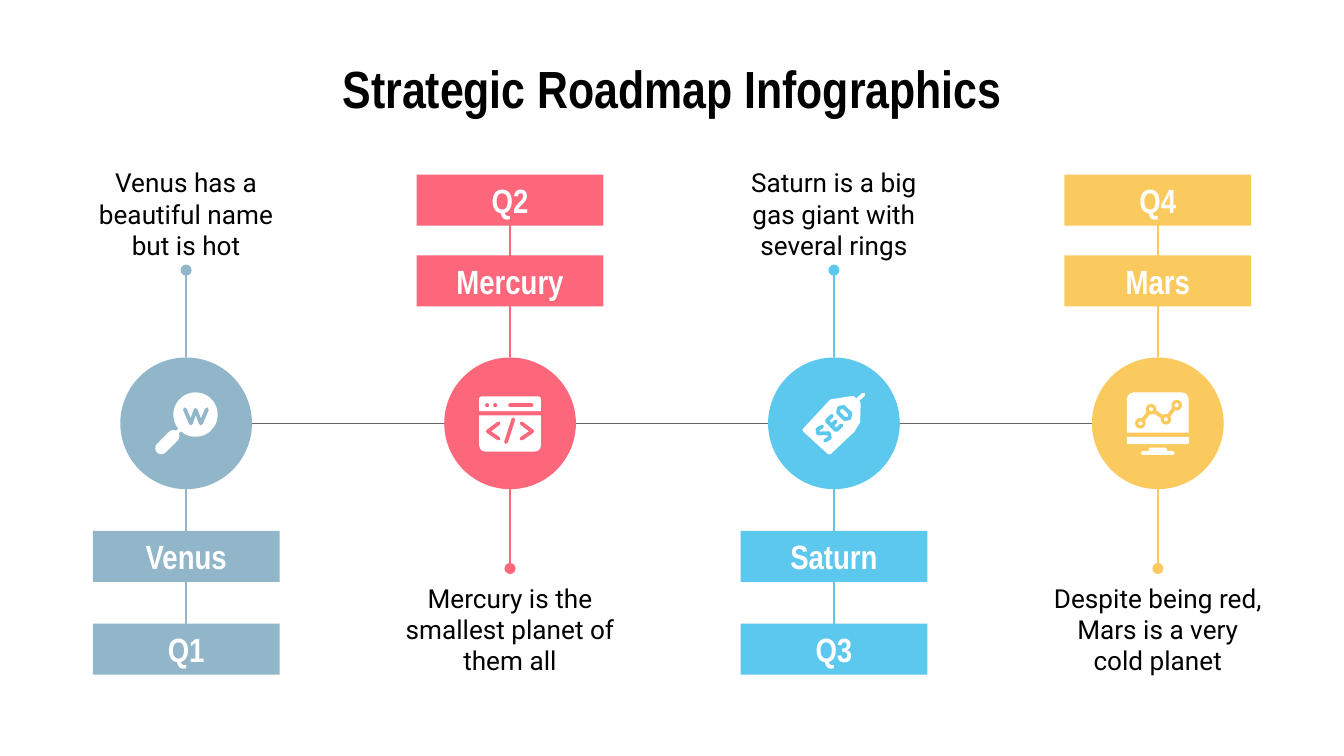
from math import sqrt

from lxml import etree
from pptx import Presentation
from pptx.dml.color import RGBColor
from pptx.enum.shapes import MSO_CONNECTOR, MSO_SHAPE
from pptx.enum.text import MSO_ANCHOR, MSO_AUTO_SIZE, PP_ALIGN
from pptx.oxml.ns import qn
from pptx.util import Inches, Pt

STRAIGHT = MSO_CONNECTOR.STRAIGHT
OVAL, RECT = MSO_SHAPE.OVAL, MSO_SHAPE.RECTANGLE
ROUND_TOP = MSO_SHAPE.ROUND_2_SAME_RECTANGLE
TOP, MIDDLE = MSO_ANCHOR.TOP, MSO_ANCHOR.MIDDLE
CENTER = PP_ALIGN.CENTER
NO_FIT = MSO_AUTO_SIZE.NONE
WHITE, BLACK, GRAY = "FFFFFF", "000000", "666666"
HEADING, BODY = "Arial Narrow", "Roboto"

# Grid of 100 columns by 56.25 rows, each a tenth of an inch
COLUMNS, ROWS, UNIT = 100, 56.25, 0.1
MARGIN, NOTE_WIDTH, NOTE_HEIGHT = 5, 17.7, 8.7
PITCH = (COLUMNS - 2 * MARGIN - NOTE_WIDTH) / 3
AXIS, RADIUS = 31.5, 4.9
BAR_WIDTH, BAR_HEIGHT = 13.9, 3.8


def grid(value):
    return Inches(value * UNIT)


def color(text):
    return RGBColor.from_string(text)


class Board:
    """Holds the slide, its style and the current drawing centre."""

    def __init__(self, slide):
        self.slide = slide
        self.shapes = slide.shapes
        self.x = self.y = 0

    def center(self, x, y):
        self.x, self.y = x, y

    def label(self, shape, text, size, font, ink, bold=False, anchor=MIDDLE):
        frame = shape.text_frame
        frame.word_wrap = True
        frame.auto_size = NO_FIT
        frame.vertical_anchor = anchor
        frame.margin_left = frame.margin_right = grid(1)
        frame.margin_top = frame.margin_bottom = grid(1)
        frame.text = text
        para = frame.paragraphs[0]
        para.alignment = CENTER
        span = para.runs[0].font
        span.size, span.name, span.bold = Pt(size), font, bold
        span.color.rgb = color(ink)

    def title(self, text, left, top, width, height):
        shape = self.shapes.title
        shape.left, shape.top = grid(left), grid(top)
        shape.width, shape.height = grid(width), grid(height)
        self.label(shape, text, 28, HEADING, BLACK, bold=True)

    def note(self, text, x, top):
        box = self.shapes.add_textbox(grid(x - NOTE_WIDTH / 2), grid(top),
                                      grid(NOTE_WIDTH), grid(NOTE_HEIGHT))
        self.label(box, text, 14, BODY, BLACK, anchor=TOP)

    def block(self, kind, left, top, width, height, fill, turn=0):
        shape = self.shapes.add_shape(kind, grid(self.x + left), grid(self.y + top),
                                      grid(width), grid(height))
        shape.shadow.inherit = False
        shape.fill.solid()
        shape.fill.fore_color.rgb = color(fill)
        shape.line.fill.background()
        shape.rotation = turn
        return shape

    def bar(self, text, top, fill):
        shape = self.block(RECT, -BAR_WIDTH / 2, top - self.y, BAR_WIDTH, BAR_HEIGHT, fill)
        self.label(shape, text, 18, HEADING, WHITE, bold=True)

    def disc(self, x, y, radius, fill):
        self.block(OVAL, x - radius, y - radius, 2 * radius, 2 * radius, fill)

    def line(self, start, end, ink, width=0.75, tail=None, cap="flat"):
        (x1, y1), (x2, y2) = start, end
        link = self.shapes.add_connector(STRAIGHT, grid(self.x + x1), grid(self.y + y1),
                                         grid(self.x + x2), grid(self.y + y2))
        link.line.color.rgb = color(ink)
        link.line.width = Pt(width)
        edge = link.line._get_or_add_ln()
        edge.set("cap", cap)
        if tail:
            etree.SubElement(edge, qn("a:tailEnd"), type=tail)
        etree.SubElement(link._element.spPr, qn("a:effectLst"))

    def outline(self, points, ink, width, close=False, filled=False):
        spots = [(grid(self.x + x), grid(self.y + y)) for x, y in points]
        builder = self.shapes.build_freeform(*spots[0])
        builder.add_line_segments(spots[1:], close=close)
        shape = builder.convert_to_shape()
        shape.shadow.inherit = False
        if filled:
            shape.fill.solid()
            shape.fill.fore_color.rgb = color(ink)
        else:
            shape.fill.background()
        shape.line.color.rgb = color(ink)
        shape.line.width = Pt(width)
        edge = shape.line._get_or_add_ln()
        edge.set("cap", "rnd")
        etree.SubElement(edge, qn("a:round"))


# Icons, drawn around the centre of their circle
def draw_magnifier(board, ink):
    board.line((-1.85, 1.85), (-0.95, 0.95), WHITE, 6.5, cap="rnd")
    board.line((-0.95, 0.95), (0, 0), WHITE, 2)
    board.disc(0.7, -0.65, 1.65, WHITE)
    board.outline([(-0.1, -1.05), (0.35, 0), (0.7, -1), (1.1, 0), (1.55, -1.05)], ink, 2)


def draw_code_window(board, ink):
    board.block(ROUND_TOP, -2.3, -2, 4.6, 1.1, WHITE)
    board.block(ROUND_TOP, -2.3, -0.6, 4.6, 2.7, WHITE, turn=180)
    for x in (-1.7, -1.1):
        board.disc(x, -1.35, 0.15, ink)
    board.line((0, -1.35), (1.6, -1.35), ink, 2, cap="rnd")
    for side in (-1, 1):
        board.outline([(0.85 * side, 0), (1.65 * side, 0.6), (0.85 * side, 1.15)], ink, 2)
    board.line((0.25, -0.3), (-0.3, 1.4), ink, 2, cap="rnd")


def draw_tag(board, ink):
    board.outline([(-2.2, 0.5), (-0.2, -1.65), (1.4, -1.9), (1.85, -1.5),
                   (1.8, -0.1), (1.4, 0.55), (-0.35, 2.2)], WHITE, 2, True, True)
    board.line((1.6, -1.6), (2.2, -2.15), WHITE, 2, cap="rnd")
    letter_s = [(0.3, -0.45), (-0.1, -0.55), (-0.3, -0.3), (0.3, 0.25), (0.1, 0.55), (-0.3, 0.45)]
    letter_e = [(0.3, -0.5), (-0.25, -0.5), (-0.25, 0), (0.2, 0),
                (-0.25, 0), (-0.25, 0.5), (0.3, 0.5)]
    letter_o = [(0, -0.55), (0.3, -0.35), (0.3, 0.35), (0, 0.55), (-0.3, 0.35), (-0.3, -0.35)]
    for place, letter in enumerate((letter_s, letter_e, letter_o)):
        shift = 1.08 * (place - 1)
        points = [((u + shift + v) / sqrt(2), (v - u - shift) / sqrt(2)) for u, v in letter]
        board.outline(points, ink, 2, close=letter is letter_o)


def draw_monitor(board, ink):
    board.block(ROUND_TOP, -2.3, -2.3, 4.6, 3, WHITE)
    board.block(ROUND_TOP, -2.3, 1, 4.6, 0.55, WHITE, turn=180)
    board.outline([(-0.6, 1.85), (0.6, 1.85), (0.7, 2.15), (-0.7, 2.15)], WHITE, 0.5, True, True)
    board.line((-1.1, 2.2), (1.1, 2.2), WHITE, 2, cap="rnd")
    points = [(-1.3, 0), (-0.5, -1.05), (0.6, -0.3), (1.4, -1.35)]
    board.outline(points, ink, 2)
    for x, y in points:
        board.disc(x, y, 0.4, ink)
        board.disc(x, y, 0.15, WHITE)


STAGES = [
    ("Q1", "Venus", "Venus has a beautiful name but is hot", "92B6C9", draw_magnifier),
    ("Q2", "Mercury", "Mercury is the smallest planet of them all", "FD677B", draw_code_window),
    ("Q3", "Saturn", "Saturn is a big gas giant with several rings", "5CC8EE", draw_tag),
    ("Q4", "Mars", "Despite being red, Mars is a very cold planet", "FBCA5F", draw_monitor),
]


def main():
    deck = Presentation()
    deck.slide_width, deck.slide_height = grid(COLUMNS), grid(ROWS)
    board = Board(deck.slides.add_slide(deck.slide_layouts[5]))
    board.title("Strategic Roadmap Infographics", MARGIN, 4.5, 90, 4.1)

    for index, (quarter, planet, text, ink, draw_icon) in enumerate(STAGES):
        x = MARGIN + NOTE_WIDTH / 2 + index * PITCH
        bars_above = index % 2 == 1
        if bars_above:
            side, quarter_top, planet_top, note_top, dot = -1, 13, 19, 42.3, 42.3
        else:
            side, quarter_top, planet_top, note_top, dot = 1, 46.4, 39.5, 11.4, 20.1

        # Stem, bars and note
        board.center(x, AXIS)
        board.line((0, -side * RADIUS), (0, dot - AXIS), ink, tail="oval")
        board.line((0, side * RADIUS), (0, quarter_top + BAR_HEIGHT / 2 - AXIS), ink)
        board.bar(quarter, quarter_top, ink)
        board.bar(planet, planet_top, ink)
        board.note(text, x, note_top)

        # Link to the next stage, then circle and icon
        if index < len(STAGES) - 1:
            board.line((RADIUS, 0), (PITCH - RADIUS, 0), GRAY)
        board.disc(0, 0, RADIUS, ink)
        draw_icon(board, ink)

    deck.save("out.pptx")


if __name__ == "__main__":
    main()
